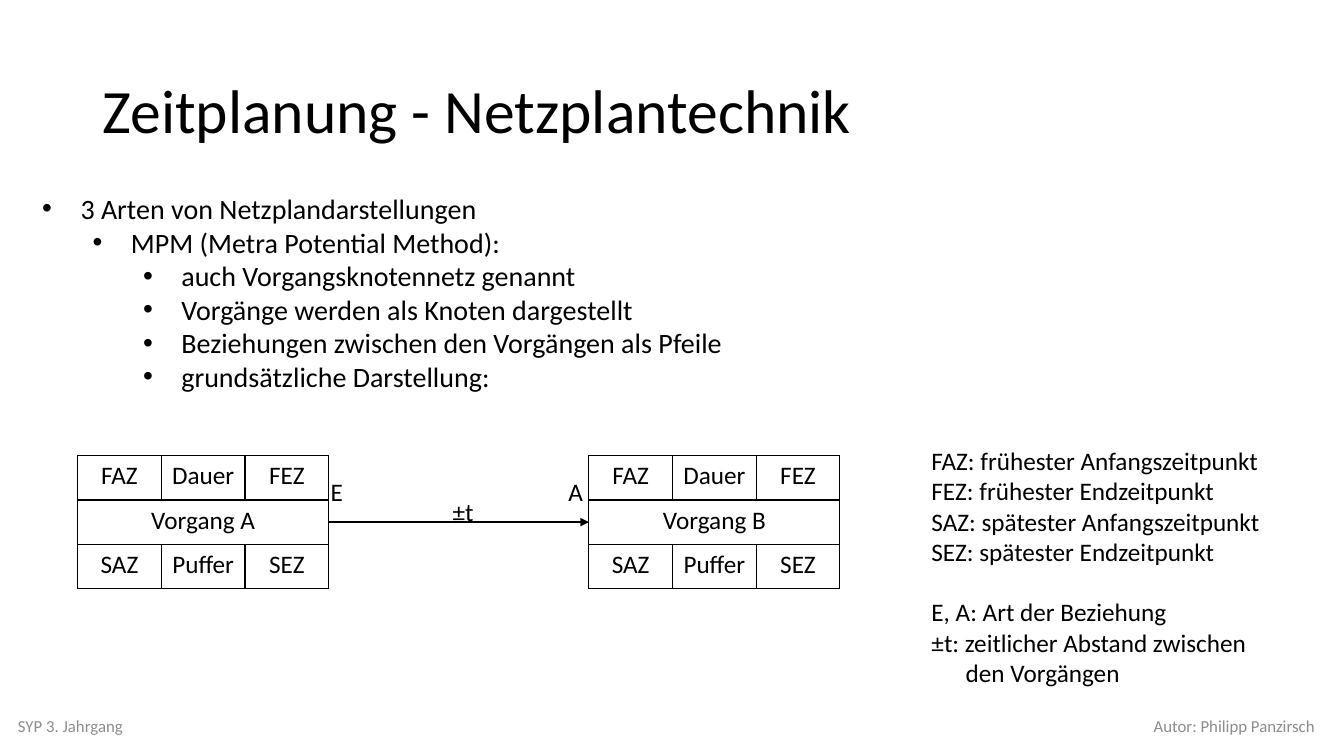
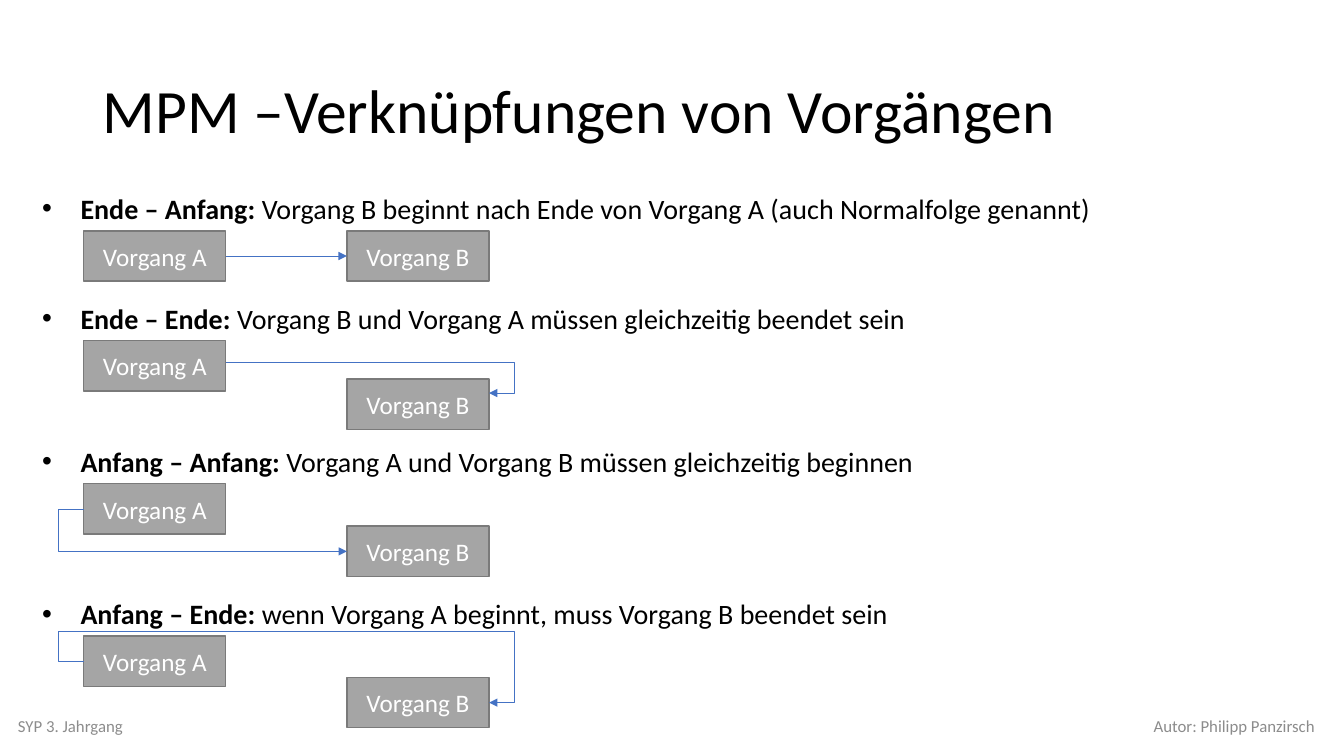
from lxml import etree
from pptx import Presentation
from pptx.dml.color import RGBColor
from pptx.enum.shapes import MSO_CONNECTOR as Connector, MSO_SHAPE as Preset
from pptx.enum.text import MSO_ANCHOR as Anchor, PP_ALIGN as Align
from pptx.oxml.ns import qn
from pptx.util import Inches, Pt

BLACK = RGBColor(0x00, 0x00, 0x00)
WHITE = RGBColor(0xFF, 0xFF, 0xFF)
GREY = RGBColor(0x8C, 0x8C, 0x8C)
BOX_FILL = RGBColor(0xA5, 0xA5, 0xA5)
BOX_LINE = RGBColor(0x7A, 0x7A, 0x7A)
BLUE = RGBColor(0x44, 0x72, 0xC4)
FONT = "Calibri"

FOOTERS = [(0.08, "SYP 3. Jahrgang", Align.LEFT), (8.64, "Autor: Philipp Panzirsch", Align.RIGHT)]

NETWORK_TITLE = "Zeitplanung - Netzplantechnik"
NETWORK_BULLETS = [
    (0, "3 Arten von Netzplandarstellungen"),
    (1, "MPM (Metra Potential Method):"),
    (2, "auch Vorgangsknotennetz genannt"),
    (2, "Vorgänge werden als Knoten dargestellt"),
    (2, "Beziehungen zwischen den Vorgängen als Pfeile"),
    (2, "grundsätzliche Darstellung:"),
]
NODES = [(0.77, "Vorgang A"), (5.84, "Vorgang B")]
NODE_TOP, NODE_WIDTH, NODE_ROW = 4.52, 2.49, 0.44
NODE_HEAD = ["FAZ", "Dauer", "FEZ"]
NODE_FOOT = ["SAZ", "Puffer", "SEZ"]
ARROW_LABELS = [(3.18, 4.68, "E"), (5.54, 4.68, "A"), (4.39, 4.87, "±t")]
LEGEND = [
    "FAZ: frühester Anfangszeitpunkt",
    "FEZ: frühester Endzeitpunkt",
    "SAZ: spätester Anfangszeitpunkt",
    "SEZ: spätester Endzeitpunkt",
    "E, A: Art der Beziehung",
    "±t: zeitlicher Abstand zwischen",
    "den Vorgängen",
]
LEGEND_GAP_BEFORE, LEGEND_INDENTED = 4, 6

LINKS_TITLE = "MPM –Verknüpfungen von Vorgängen"
LEFT, RIGHT = 1, 3
LINKS = [
    dict(top=1.85, name="Ende – Anfang: ", drop=0, sites=(RIGHT, LEFT),
         text="Vorgang B beginnt nach Ende von Vorgang A (auch Normalfolge genannt)"),
    dict(top=2.94, name="Ende – Ende: ", drop=0.38, sites=(RIGHT, RIGHT), bends=[1.096],
         heights=(0.22, 0.14),
         text="Vorgang B und Vorgang A müssen gleichzeitig beendet sein"),
    dict(top=4.36, name="Anfang – Anfang: ", drop=0.42, sites=(LEFT, LEFT), bends=[-0.096],
         text="Vorgang A und Vorgang B müssen gleichzeitig beginnen"),
    dict(top=5.87, name="Anfang – Ende: ", drop=0.41, sites=(LEFT, RIGHT),
         bends=[-0.062, -0.735, 1.062],
         text="wenn Vorgang A beginnt, muss Vorgang B beendet sein"),
]
BOX_COLUMNS = [(0.83, "Vorgang A"), (3.44, "Vorgang B")]
BOX_WIDTH, BOX_HEIGHT, BULLET_HEIGHT = 1.41, 0.5, 0.44


def format_runs(paragraph, size, color=BLACK, align=None):
    paragraph.alignment = align
    for run in paragraph.runs:
        run.font.name = FONT
        run.font.size = Pt(size)
        run.font.color.rgb = color


def add_text(slide, box, lines, size, color=BLACK, align=None, anchor=Anchor.TOP):
    shape = slide.shapes.add_textbox(*map(Inches, box))
    frame = shape.text_frame
    frame.word_wrap = True
    frame.vertical_anchor = anchor
    frame.text = "\n".join(lines)
    for paragraph in frame.paragraphs:
        format_runs(paragraph, size, color, align)
    return frame


def add_bullet(paragraph, level=0):
    paragraph.level = level
    properties = paragraph._p.get_or_add_pPr()
    properties.set("marL", str(Inches(0.38 + 0.5 * level)))
    properties.set("indent", str(Inches(-0.38)))
    etree.SubElement(properties, qn("a:buFont"), typeface="Arial")
    etree.SubElement(properties, qn("a:buChar"), char="•")


def add_slide(presentation, title):
    slide = presentation.slides.add_slide(presentation.slide_layouts[6])
    frame = add_text(slide, (0.92, 0.4, 11.5, 1.45), [title], 44, anchor=Anchor.MIDDLE)
    frame.paragraphs[0].line_spacing = 0.9
    for left, text, align in FOOTERS:
        add_text(slide, (left, 7, 4.5, 0.4), [text], 12, GREY, align, Anchor.MIDDLE)
    return slide


def add_arrow(slide, kind, start, end, color, width):
    arrow = slide.shapes.add_connector(kind, *map(Inches, start + end))
    arrow.line.color.rgb = color
    arrow.line.width = Pt(width)
    line = arrow.line._get_or_add_ln()
    etree.SubElement(line, qn("a:tailEnd"), type="triangle")
    etree.SubElement(arrow.element.spPr, qn("a:effectLst"))
    return arrow


def add_borders(cell):
    properties = cell._tc.get_or_add_tcPr()
    for index, side in enumerate(("lnL", "lnR", "lnT", "lnB")):
        line = etree.Element(qn("a:" + side), w=str(Pt(1)))
        fill = etree.SubElement(line, qn("a:solidFill"))
        etree.SubElement(fill, qn("a:srgbClr"), val=str(BLACK))
        properties.insert(index, line)


def add_node(slide, left, name):
    rows = [NODE_HEAD, [name, "", ""], NODE_FOOT]
    box = (left, NODE_TOP, NODE_WIDTH, NODE_ROW * len(rows))
    table = slide.shapes.add_table(len(rows), len(NODE_HEAD), *map(Inches, box)).table
    table.first_row = table.horz_banding = False
    table.cell(1, 0).merge(table.cell(1, 2))
    for row, texts in enumerate(rows):
        for column, text in enumerate(texts):
            cell = table.cell(row, column)
            cell.fill.background()
            add_borders(cell)
            if text:
                cell.text_frame.text = text
                format_runs(cell.text_frame.paragraphs[0], 18, align=Align.CENTER)


def add_box(slide, left, top, text):
    box = slide.shapes.add_shape(Preset.RECTANGLE, *map(Inches, (left, top, BOX_WIDTH, BOX_HEIGHT)))
    box.shadow.inherit = False
    box.fill.solid()
    box.fill.fore_color.rgb = BOX_FILL
    box.line.color.rgb = BOX_LINE
    box.line.width = Pt(1)
    box.text_frame.text = text
    box.text_frame.vertical_anchor = Anchor.MIDDLE
    format_runs(box.text_frame.paragraphs[0], 18, WHITE, Align.CENTER)
    return box


def bend(arrow, bends, start_site):
    geometry = arrow.element.spPr.find(qn("a:prstGeom"))
    geometry.set("prst", f"bentConnector{len(bends) + 2}")
    guides = geometry.find(qn("a:avLst"))
    for number, share in enumerate(bends, 1):
        etree.SubElement(guides, qn("a:gd"), name=f"adj{number}", fmla=f"val {round(share * 100000)}")
    if start_site == LEFT:
        frame = arrow.element.spPr.find(qn("a:xfrm"))
        for key, value in (("rot", "10800000"), ("flipH", "1"), ("flipV", "1")):
            frame.set(key, value)


def add_link(slide, link):
    frame = add_text(slide, (0.32, link["top"], 12.69, BULLET_HEIGHT), [link["name"]], 20)
    paragraph = frame.paragraphs[0]
    paragraph.add_run().text = link["text"]
    format_runs(paragraph, 20)
    paragraph.runs[0].font.bold = True
    add_bullet(paragraph)

    first_top = link["top"] + BULLET_HEIGHT
    tops = (first_top, first_top + link["drop"])
    boxes = [add_box(slide, left, top, text) for (left, text), top in zip(BOX_COLUMNS, tops)]
    heights = link.get("heights", (BOX_HEIGHT / 2,) * 2)
    start, end = [
        (left + (BOX_WIDTH if site == RIGHT else 0), top + height)
        for (left, _), top, site, height in zip(BOX_COLUMNS, tops, link["sites"], heights)
    ]
    bends = link.get("bends")
    kind = Connector.ELBOW if bends else Connector.STRAIGHT
    arrow = add_arrow(slide, kind, start, end, BLUE, 0.5)
    if "heights" not in link:
        arrow.begin_connect(boxes[0], link["sites"][0])
        arrow.end_connect(boxes[1], link["sites"][1])
    if bends:
        bend(arrow, bends, link["sites"][0])


def build_network(presentation):
    slide = add_slide(presentation, NETWORK_TITLE)
    frame = add_text(slide, (0.32, 1.85, 12.69, 2.12), [text for _, text in NETWORK_BULLETS], 20)
    for paragraph, (level, _) in zip(frame.paragraphs, NETWORK_BULLETS):
        add_bullet(paragraph, level)
    for left, name in NODES:
        add_node(slide, left, name)
    middle = NODE_TOP + 1.5 * NODE_ROW
    add_arrow(slide, Connector.STRAIGHT, (NODES[0][0] + NODE_WIDTH, middle), (NODES[1][0], middle), BLACK, 1)
    for left, top, text in ARROW_LABELS:
        add_text(slide, (left, top, 0.5, 0.4), [text], 18)
    legend = add_text(slide, (9.14, 4.37, 4, 2.83), LEGEND, 18).paragraphs
    legend[LEGEND_GAP_BEFORE].space_before = Pt(21.6)
    legend[LEGEND_INDENTED]._p.get_or_add_pPr().set("marL", str(Inches(0.34)))


def build_links(presentation):
    slide = add_slide(presentation, LINKS_TITLE)
    for link in LINKS:
        add_link(slide, link)


def main():
    presentation = Presentation()
    presentation.slide_width = Inches(13.33)
    presentation.slide_height = Inches(7.5)
    build_network(presentation)
    build_links(presentation)
    presentation.save("out.pptx")


if __name__ == "__main__":
    main()
